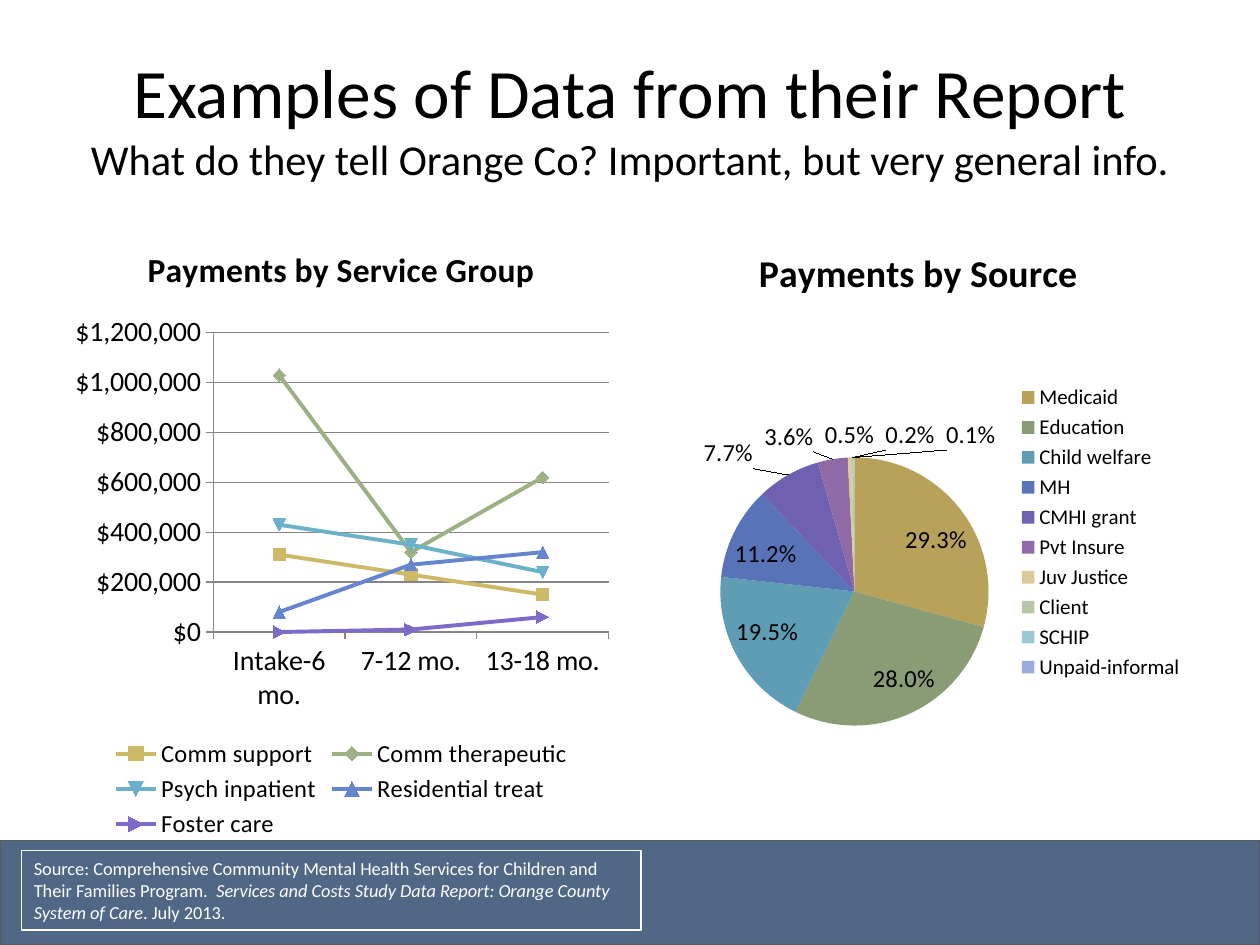
from lxml import etree
from pptx import Presentation
from pptx.chart.data import CategoryChartData
from pptx.dml.color import RGBColor
from pptx.enum.chart import XL_CHART_TYPE as CT, XL_LABEL_POSITION as LP
from pptx.enum.chart import XL_LEGEND_POSITION as LEG, XL_TICK_MARK as TICK
from pptx.enum.shapes import MSO_SHAPE
from pptx.enum.text import MSO_ANCHOR, PP_ALIGN
from pptx.oxml import parse_xml
from pptx.oxml.ns import nsdecls, qn
from pptx.util import Inches, Pt


def rgb(value):
    return RGBColor.from_string(value)


def style_font(font, size, color="000000", bold=False, italic=False):
    font.name = "Calibri"
    font.size = Pt(size)
    font.bold = bold
    font.italic = italic
    font.color.rgb = rgb(color)


prs = Presentation()
prs.slide_width, prs.slide_height = Inches(10), Inches(7.5)
s = prs.slides.add_slide(prs.slide_layouts[5])

footer = s.shapes.add_shape(MSO_SHAPE.RECTANGLE, Inches(0), Inches(6.67), Inches(10), Inches(0.83))
footer.shadow.inherit = False
footer.fill.solid()
footer.fill.fore_color.rgb = rgb("506886")
footer.line.color.rgb = rgb("5A5A5A")
footer.line.width = Pt(0.75)

title = s.shapes.title
title.left, title.top, title.width, title.height = Inches(0.5), Inches(0.3), Inches(9), Inches(1.25)
tf = title.text_frame
tf.vertical_anchor = MSO_ANCHOR.MIDDLE
p = tf.paragraphs[0]
p.alignment = PP_ALIGN.CENTER
r = p.add_run()
r.text = "Examples of Data from their Report"
style_font(r.font, 39.6)
p.add_line_break()
r = p.add_run()
r.text = "What do they tell Orange Co? Important, but very general info."
style_font(r.font, 24.3)

payments = CategoryChartData(number_format='"$"#,##0')
payments.categories = ["Intake-6 mo.", "7-12 mo.", "13-18 mo."]
services = [
    ("Comm support", (310000, 230000, 150000), "CEB966"),
    ("Comm therapeutic", (1030000, 320000, 620000), "9CB084"),
    ("Psych inpatient", (430000, 350000, 240000), "6BB1C9"),
    ("Residential treat", (80000, 270000, 320000), "6585CF"),
    ("Foster care", (0, 10000, 60000), "7E6BC9"),
]
for name, values, color in services:
    payments.add_series(name, values)

sources = [
    ("Medicaid", 0.293, "B8A25A"), ("Education", 0.28, "8A9C76"),
    ("Child welfare", 0.195, "5E9DB3"), ("MH", 0.112, "5873B8"),
    ("CMHI grant", 0.077, "7060B2"), ("Pvt Insure", 0.036, "906AA6"),
    ("Juv Justice", 0.005, "DBCB9A"), ("Client", 0.002, "B9C6AA"),
    ("SCHIP", 0.001, "9DC6D6"), ("Unpaid-informal", 0, "9BACDB"),
]
shares = CategoryChartData(number_format="0.0%")
shares.categories = [name for name, value, color in sources]
shares.add_series("Series 1", [value for name, value, color in sources])

charts = []
for kind, data, left, size, heading, heading_size, side, legend_size, box in [
    (CT.LINE_MARKERS, payments, 0.5, 16, "Payments by Service Group", 19.2,
     LEG.BOTTOM, 14, (0.27, 0.18, 0.71, 0.48)),
    (CT.PIE, shares, 5.08, 18, "Payments by Source", 21.6,
     LEG.RIGHT, 12, (0.14, 0.38, 0.49, 0.43)),
]:
    chart = s.shapes.add_chart(kind, Inches(left), Inches(1.75), Inches(4.42), Inches(4.95), data).chart
    style_font(chart.font, size)
    chart.has_title = True
    r = chart.chart_title.text_frame.paragraphs[0].add_run()
    r.text = heading
    style_font(r.font, heading_size, bold=True)
    chart.has_legend = True
    chart.legend.position = side
    chart.legend.include_in_layout = False
    style_font(chart.legend.font, legend_size)

    area = chart.plots[0]._element.getparent()
    for old in area.findall(qn("c:layout")):
        area.remove(old)
    layout = etree.Element(qn("c:layout"))
    manual = etree.SubElement(layout, qn("c:manualLayout"))
    settings = [("layoutTarget", "inner"), ("xMode", "edge"), ("yMode", "edge")]
    for tag, value in settings + list(zip("xywh", box)):
        etree.SubElement(manual, qn("c:" + tag)).set("val", str(value))
    area.insert(0, layout)
    charts.append(chart)
line_chart, pie_chart = charts

for series, (name, values, color) in zip(line_chart.plots[0].series, services):
    series.smooth = False
    series.format.line.color.rgb = rgb(color)
    series.format.line.width = Pt(2.25)
    series.marker.size = 7
    series.marker.format.fill.solid()
    series.marker.format.fill.fore_color.rgb = rgb(color)
    series.marker.format.line.color.rgb = rgb(color)

value_axis, category_axis = line_chart.value_axis, line_chart.category_axis
value_axis.minimum_scale, value_axis.maximum_scale, value_axis.major_unit = 0, 1200000, 200000
value_axis.has_major_gridlines = True
value_axis.tick_labels.number_format = '"$"#,##0'
value_axis.tick_labels.number_format_is_linked = False
for axis in (value_axis, category_axis):
    axis.major_tick_mark = TICK.OUTSIDE
    style_font(axis.tick_labels.font, 16)
for rule in (value_axis.format, category_axis.format, value_axis.major_gridlines.format):
    rule.line.color.rgb = rgb("868686")
    rule.line.width = Pt(0.75)

plot = pie_chart.plots[0]
plot.vary_by_categories = True
series = plot.series[0]
for i, (name, value, color) in enumerate(sources):
    fill = series.points[i].format.fill
    fill.solid()
    fill.fore_color.rgb = rgb(color)
labels = series.data_labels
labels.show_value = True
labels.number_format = "0.0%"
labels.number_format_is_linked = False
labels.position = LP.BEST_FIT
style_font(labels.font, 14)
hidden = parse_xml(f'<c:dLbl {nsdecls("c")}><c:idx val="9"/><c:delete val="1"/></c:dLbl>')
labels._element.insert(0, hidden)

sp = s.shapes.add_shape(MSO_SHAPE.RECTANGLE, Inches(0.17), Inches(6.75), Inches(4.92), Inches(0.63))
sp.shadow.inherit = False
sp.fill.background()
sp.line.color.rgb = rgb("FFFFFF")
sp.line.width = Pt(1)
tf = sp.text_frame
tf.word_wrap = True
tf.vertical_anchor = MSO_ANCHOR.TOP
p = tf.paragraphs[0]
p.alignment = PP_ALIGN.LEFT
for text, italic in [
    ("Source: Comprehensive Community Mental Health Services for Children and Their Families Program.  ", False),
    ("Services and Costs Study Data Report: Orange County System of Care", True),
    (". July 2013.", False),
]:
    r = p.add_run()
    r.text = text
    style_font(r.font, 10.5, "FFFFFF", italic=italic)

prs.save("out.pptx")
